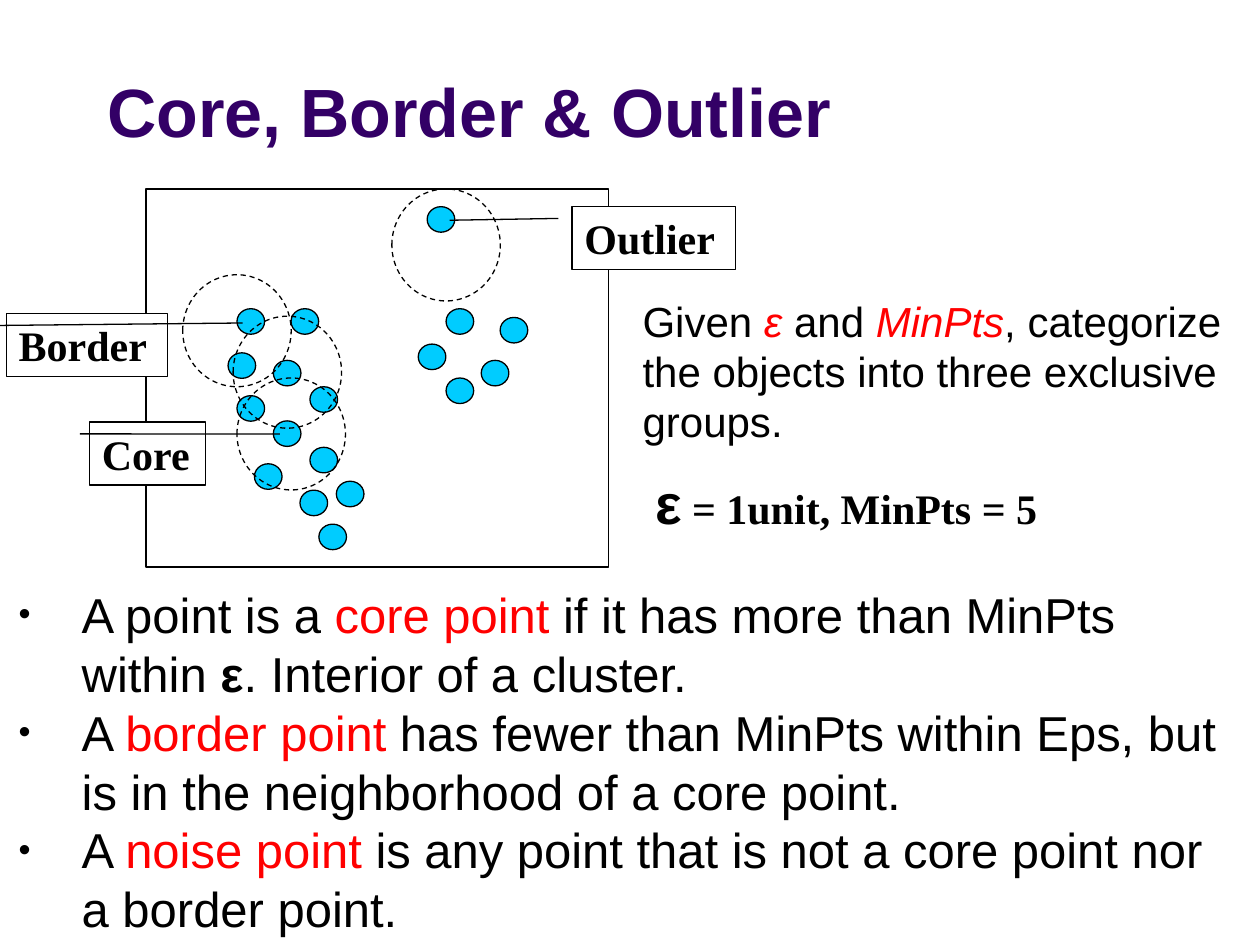
from lxml import etree
from pptx import Presentation
from pptx.dml.color import RGBColor
from pptx.enum import dml, shapes, text
from pptx.oxml import ns
from pptx.util import Pt

BLACK = RGBColor(0, 0, 0)
WHITE = RGBColor(255, 255, 255)
RED = RGBColor(255, 0, 0)
CYAN = RGBColor(0, 204, 255)
PURPLE = RGBColor(51, 0, 102)
SERIF = "Times New Roman"

DOTS = [
    (135.4, 176.4), (130.3, 201.6), (156.2, 205.9), (166.3, 176.4),
    (177.1, 221), (135.4, 226.1), (156.2, 240.5), (145.4, 265),
    (171.4, 280.1), (182.2, 299.5), (177.1, 255.6), (192.2, 275),
    (244.1, 118.1), (254.9, 176.4), (239, 196.6), (275, 205.9),
    (285.8, 181.4), (254.9, 216),
]
RINGS = [(104.4, 157), (135.4, 216), (223.9, 108), (133.2, 180.7)]
LABELS = [
    ("Core", (51.1, 241.2, 66.2, 36), (0.188, -0.083, 0.19, 1.644)),
    ("Border", (3.6, 179.3, 92.2, 36), (0.188, -0.083, 0.148, 1.464)),
    ("Outlier", (326.9, 118.1, 93.6, 36), (0.188, -0.083, 0.217, -0.747)),
]
POINTS = [
    [("A point is a ", {}), ("core point", {"color": RED}),
     (" if it has more than MinPts within ", {}), ("ε", {"bold": True}),
     (". Interior of a cluster.", {})],
    [("A ", {}), ("border point", {"color": RED}),
     (" has fewer than MinPts within Eps, but is in the neighborhood of a core point.", {})],
    [("A ", {}), ("noise point", {"color": RED}),
     (" is any point that is not a core point nor a border point.", {})],
]


def write(para, words, size=24, name="Arial", color=BLACK, bold=False, italic=False):
    """Add one formatted run to a paragraph."""
    run = para.add_run()
    run.text = words
    font = run.font
    font.size, font.name, font.bold, font.italic = Pt(size), name, bold, italic
    font.color.rgb = color


def start(frame, anchor=text.MSO_ANCHOR.TOP):
    """Set up a text frame and return its first paragraph."""
    frame.word_wrap = True
    frame.auto_size = text.MSO_AUTO_SIZE.NONE
    frame.vertical_anchor = anchor
    return align(frame.paragraphs[0])


def align(para):
    """Left-align a paragraph with single line spacing."""
    para.alignment = text.PP_ALIGN.LEFT
    para.line_spacing = 1.0
    para.space_before = para.space_after = Pt(0)
    return para


def mark(para, sign=None, indent=0):
    """Give a paragraph a hanging bullet, or none."""
    props = para._p.get_or_add_pPr()
    props.set("marL", str(Pt(indent)))
    props.set("indent", str(-Pt(indent)))
    if sign is None:
        etree.SubElement(props, ns.qn("a:buNone"))
        return
    tint = etree.SubElement(props, ns.qn("a:buClr"))
    etree.SubElement(tint, ns.qn("a:srgbClr"), val=str(BLACK))
    etree.SubElement(props, ns.qn("a:buSzPct"), val="70000")
    etree.SubElement(props, ns.qn("a:buFont"), typeface="Arial")
    etree.SubElement(props, ns.qn("a:buChar"), char=sign)


def place(item, box):
    """Move and size a placeholder."""
    item.left, item.top, item.width, item.height = map(Pt, box)


def draw(slide, kind, box, fill=None, dash=False):
    """Add a thin black outlined shape."""
    item = slide.shapes.add_shape(kind, *map(Pt, box))
    item.shadow.inherit = False
    if fill is None:
        item.fill.background()
    else:
        item.fill.solid()
        item.fill.fore_color.rgb = fill
    item.line.color.rgb = BLACK
    item.line.width = Pt(0.75)
    if dash:
        item.line.dash_style = dml.MSO_LINE.DASH
    return item


def label(slide, words, box, ends):
    """Add a callout whose leader follows the given ends."""
    item = draw(slide, shapes.MSO_SHAPE.LINE_CALLOUT_1, box, WHITE)
    for index, value in enumerate(ends):
        item.adjustments[index] = value
    write(start(item.text_frame), words, name=SERIF, bold=True)


def plot(slide):
    """Draw the point cloud, its neighbourhoods and labels."""
    oval = shapes.MSO_SHAPE.OVAL
    for x, y in DOTS:
        draw(slide, oval, (x, y, 15.8, 14.6), CYAN)
    draw(slide, shapes.MSO_SHAPE.RECTANGLE, (83.5, 108, 264.2, 216))
    for x, y in RINGS:
        draw(slide, oval, (x, y, 62, 64), dash=True)
    for words, box, ends in LABELS:
        label(slide, words, box, ends)


def intro(slide):
    """Fill the title, the task and the parameters."""
    title, body = slide.shapes.title, slide.placeholders[1]
    place(title, (54, 0, 612, 90))
    write(start(title.text_frame, text.MSO_ANCHOR.BOTTOM), "Core, Border & Outlier",
          size=39, color=PURPLE, bold=True)

    place(body, (360, 165, 360, 126))
    para = start(body.text_frame)
    mark(para)
    write(para, "Given ")
    write(para, "ε", color=RED, italic=True)
    write(para, " and ")
    write(para, "MinPts", color=RED, italic=True)
    write(para, ", categorize the objects into three exclusive groups.")

    note = slide.shapes.add_textbox(*map(Pt, (367.2, 264.2, 300, 46)))
    para = start(note.text_frame)
    write(para, "ε", size=32, bold=True)
    write(para, " = 1unit, MinPts = 5", name=SERIF, bold=True)


def rules(slide):
    """List the definitions of the point types."""
    frame = slide.shapes.add_textbox(*map(Pt, (3.6, 330.5, 706.3, 208.8))).text_frame
    para = start(frame)
    for index, runs in enumerate(POINTS):
        if index:
            para = align(frame.add_paragraph())
        mark(para, "•", 36)
        for words, style in runs:
            write(para, words, size=28, **style)


def main():
    """Build and save the slide."""
    deck = Presentation()
    deck.slide_width, deck.slide_height = Pt(720), Pt(540)
    slide = deck.slides.add_slide(deck.slide_layouts[1])
    intro(slide)
    plot(slide)
    rules(slide)
    deck.save("out.pptx")


if __name__ == "__main__":
    main()
